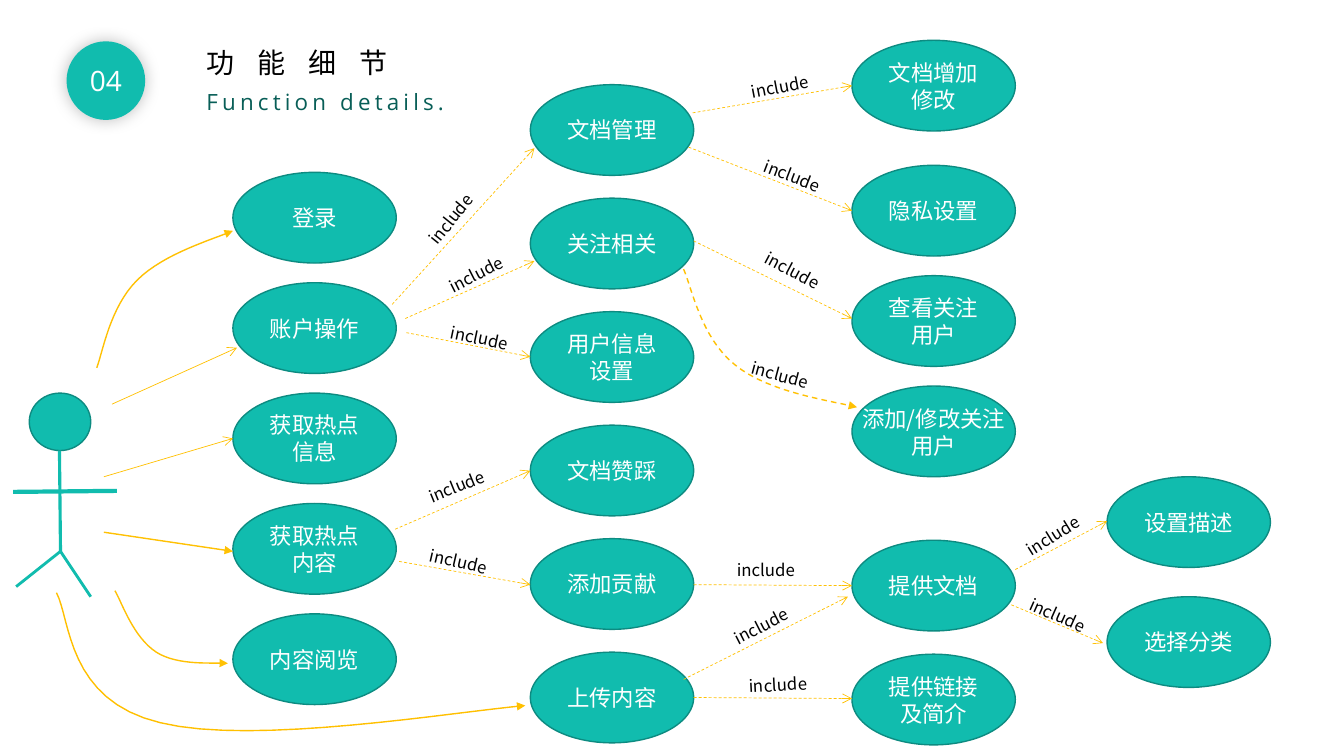
from lxml import etree
from pptx import Presentation
from pptx import util as u
from pptx.dml.color import RGBColor
from pptx.enum import dml, shapes, text
from pptx.oxml.ns import qn

TEAL, EDGE, WHITE, BLACK, GOLD = "11BCAE", "0D8B81", "FFFFFF", "000000", "FFC104"
CJK, LATIN = "Noto Sans CJK SC", "Open Sans"
OVAL_W, OVAL_H = 1.62, 0.9
LABEL_W, LABEL_H = 0.86, 0.3


def color(value):
    return RGBColor.from_string(value)


def inches(*values):
    return [u.Inches(v) for v in values]


def set_line(line, value, width, dashed=False):
    line.color.rgb = color(value)
    line.width = u.Pt(width)
    if dashed:
        line.dash_style = dml.MSO_LINE.DASH


def write(sp, words, size, value, font, align=text.PP_ALIGN.LEFT, spacing=0, **frame):
    tf = sp.text_frame
    for name, setting in {"word_wrap": True, **frame}.items():
        setattr(tf, name, setting)
    p = tf.paragraphs[0]
    p.alignment = align
    r = p.add_run()
    r.text = words
    for name, setting in {"size": u.Pt(size), "name": font}.items():
        setattr(r.font, name, setting)
    r.font.color.rgb = color(value)
    rpr = r.font._element
    if spacing:
        rpr.set("spc", str(spacing * 100))
    etree.SubElement(rpr, qn("a:ea")).set("typeface", CJK)


def add_text(s, box, words, size, value, font, rotation=0, **layout):
    sp = s.shapes.add_textbox(*inches(*box))
    sp.rotation = rotation
    write(sp, words, size, value, font,
          auto_size=text.MSO_AUTO_SIZE.SHAPE_TO_FIT_TEXT, **layout)


def add_oval(s, box, edge=True):
    sp = s.shapes.add_shape(shapes.MSO_SHAPE.OVAL, *inches(*box))
    sp.shadow.inherit = False
    sp.fill.solid()
    sp.fill.fore_color.rgb = color(TEAL)
    if edge:
        set_line(sp.line, EDGE, 1)
    else:
        sp.line.fill.background()
    return sp


def add_straight(s, start, end, value, width, dashed=False):
    sp = s.shapes.add_connector(shapes.MSO_CONNECTOR.STRAIGHT, *inches(*start, *end))
    set_line(sp.line, value, width, dashed)
    etree.SubElement(sp._element.spPr, qn("a:effectLst"))
    return sp


def bezier(a, b, c, d, steps=16):
    for i in range(1, steps + 1):
        t = i / steps
        yield tuple((1 - t) ** 3 * a[k] + 3 * (1 - t) ** 2 * t * b[k]
                    + 3 * (1 - t) * t ** 2 * c[k] + t ** 3 * d[k] for k in (0, 1))


def add_curve(s, points, value, width, dashed=False):
    route = [q for i in range(0, len(points) - 1, 3) for q in bezier(*points[i:i + 4])]
    builder = s.shapes.build_freeform(*inches(*points[0]))
    builder.add_line_segments([inches(*q) for q in route], close=False)
    sp = builder.convert_to_shape()
    sp.shadow.inherit = False
    sp.fill.background()
    set_line(sp.line, value, width, dashed)
    return sp


def add_arrow(s, box, points, width, dashed=False, value=GOLD):
    placed = [(box[0] + x, box[1] + y) for x, y in points]
    if len(placed) == 2:
        sp = add_straight(s, *placed, value, width, dashed)
    else:
        sp = add_curve(s, placed, value, width, dashed)
    ln = sp._element.spPr.find(qn("a:ln"))
    etree.SubElement(ln, qn("a:tailEnd")).set("type", "triangle" if width == 1 else "arrow")


def header(s, box):
    x, y = box
    badge = add_oval(s, (x, y + 0.01, 0.78, 0.78), edge=False)
    shadow = etree.SubElement(badge._element.spPr.find(qn("a:effectLst")), qn("a:outerShdw"))
    for name, setting in {"blurRad": u.Pt(12), "dist": 0, "dir": 0}.items():
        shadow.set(name, str(int(setting)))
    tint = etree.SubElement(shadow, qn("a:srgbClr"))
    tint.set("val", BLACK)
    etree.SubElement(tint, qn("a:alpha")).set("val", "26000")
    write(badge, "04", 20, WHITE, LATIN, text.PP_ALIGN.CENTER,
          vertical_anchor=text.MSO_ANCHOR.MIDDLE)
    add_text(s, (x + 1.29, y, 3.04, 0.44), "功 能 细 节", 20, BLACK, LATIN, spacing=6)
    add_text(s, (x + 1.29, y + 0.43, 4.27, 0.37), "Function details.", 16, "085E57", LATIN,
             spacing=3)


def use_cases(s, box, names):
    x, y, height = box
    step = (height - OVAL_H) / max(len(names) - 1, 1)
    for i, name in enumerate(names):
        top = y + i * step
        sp = add_oval(s, (x, top, OVAL_W, OVAL_H))
        layout = {"align": text.PP_ALIGN.CENTER}
        if name in WIDE_NAMES:
            width = WIDE_NAMES[name]
            add_text(s, (x + (OVAL_W - width) / 2, top + 0.14, width, 0.64),
                     name, 16, WHITE, CJK, **layout)
        else:
            write(sp, name, 16, WHITE, CJK, vertical_anchor=text.MSO_ANCHOR.MIDDLE, **layout)


def actor(s, box):
    x, y = box
    add_oval(s, (x + 0.16, y, 0.61, 0.57))
    hip = (0.47, 1.57)
    for start, end, width in [((0, 0.98), (1.03, 0.97), 3), ((0.46, 0.57), hip, 2.25),
                              ((0.03, 1.92), hip, 2), ((0.77, 2.02), hip, 2)]:
        add_straight(s, (x + start[0], y + start[1]), (x + end[0], y + end[1]), TEAL, width)


def actor_links(s, box):
    add_arrow(s, box, [(0.06, 3.88), (0.2, 4.14), (0.16, 4.95), (1.09, 5.17),
                       (2.02, 5.4), (4.01, 5.06), (4.71, 5)], 1, value="FFC000")
    for points, width in [
        ([(0.53, 3.28), (1.81, 3.47)], 1),
        ([(0.53, 2.73), (1.81, 2.35)], 0.5),
        ([(0.61, 2.01), (1.85, 1.45)], 0.5),
        ([(0.46, 1.65), (0.52, 1.49), (0.59, 1.05), (0.86, 0.78),
          (1.13, 0.51), (1.63, 0.37), (1.81, 0.29)], 1),
        ([(0.64, 3.86), (0.71, 3.98), (0.82, 4.32), (1.05, 4.47),
          (1.27, 4.61), (1.62, 4.57), (1.76, 4.58)], 1),
    ]:
        add_arrow(s, box, points, width)


def include_links(s, box, links):
    for points, (left, top), rotation in links:
        add_arrow(s, box, points, 0.5 if len(points) == 2 else 1, dashed=True)
        add_text(s, (box[0] + left, box[1] + top, LABEL_W, LABEL_H), "include", 12, BLACK, CJK,
                 rotation)


WIDE_NAMES = {"添加/修改关注用户": 1.62, "提供链接及简介": 1.2}
COLUMNS = [
    ((2.31, 1.71, 5.28), ["登录", "账户操作", "获取热点信息", "获取热点内容", "内容阅览"]),
    ((5.26, 0.84, 6.53), ["文档管理", "关注相关", "用户信息设置", "文档赞踩", "添加贡献", "上传内容"]),
    ((8.45, 0.4, 0.9), ["文档增加修改"]),
    ((8.45, 1.64, 3.09), ["隐私设置", "查看关注用户", "添加/修改关注用户"]),
    ((8.45, 5.36, 2.03), ["提供文档", "提供链接及简介"]),
    ((10.98, 4.73, 2.09), ["设置描述", "选择分类"]),
]
INCLUDES = [
    ((3.5, 1), [
        ([(0.39, 2.02), (1.8, 0.47)], (0.57, 0.99), 309),
        ([(0.52, 2.16), (1.8, 1.59)], (0.83, 1.55), 333),
        ([(0.53, 2.3), (1.76, 2.54)], (0.87, 2.21), 12),
        ([(0.42, 4.25), (1.76, 3.67)], (0.64, 3.66), 338),
        ([(0.46, 4.57), (1.76, 4.8)], (0.66, 4.43), 13)]),
    ((6.5, 0.5), [
        ([(0.38, 5.3), (1.95, 5.31)], (0.71, 5), 0),
        ([(0.28, 6.24), (1.91, 5.42)], (0.66, 5.54), 333),
        ([(0.38, 6.42), (1.95, 6.43)], (0.83, 6.14), 357),
        ([(0.28, 2.17), (0.36, 2.35), (0.45, 2.85), (0.79, 3.12),
          (1.13, 3.4), (1.77, 3.48), (2, 3.54)], (0.85, 3.08), 15),
        ([(0.38, 1.89), (1.95, 2.66)], (0.97, 2.05), 28),
        ([(0.33, 0.96), (1.95, 1.59)], (0.97, 1.11), 21),
        ([(0.37, 0.62), (1.95, 0.35)], (0.85, 0.2), 349)]),
    ((10, 5), [
        ([(0.07, 0.65), (0.98, 0.17)], (0.05, 0.14), 328),
        ([(0.03, 1), (0.94, 1.38)], (0.1, 0.97), 24)]),
]


def main():
    prs = Presentation()
    prs.slide_width, prs.slide_height = inches(13.33, 7.5)
    s = prs.slides.add_slide(prs.slide_layouts[6])
    header(s, (0.66, 0.4))
    for box, names in COLUMNS:
        use_cases(s, box, names)
    actor(s, (0.13, 3.9))
    actor_links(s, (0.5, 2))
    for box, links in INCLUDES:
        include_links(s, box, links)
    prs.save("out.pptx")


if __name__ == "__main__":
    main()
